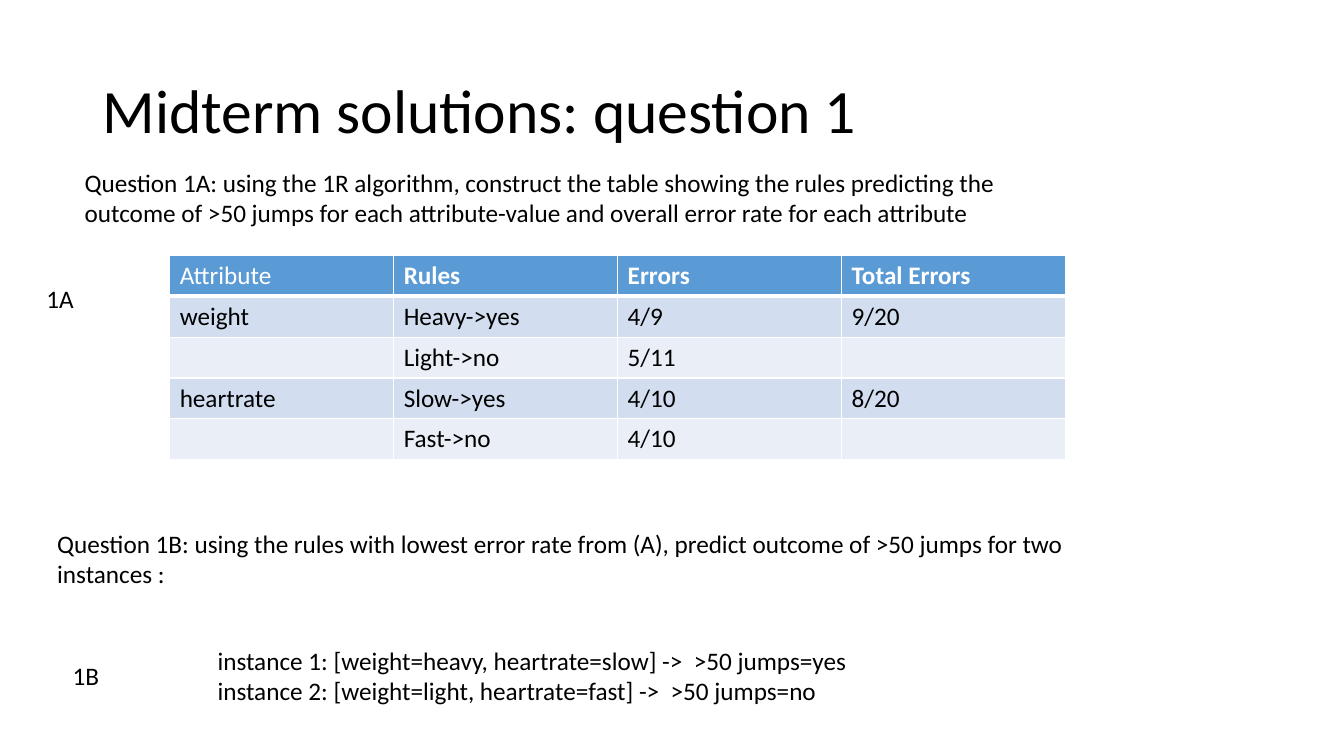
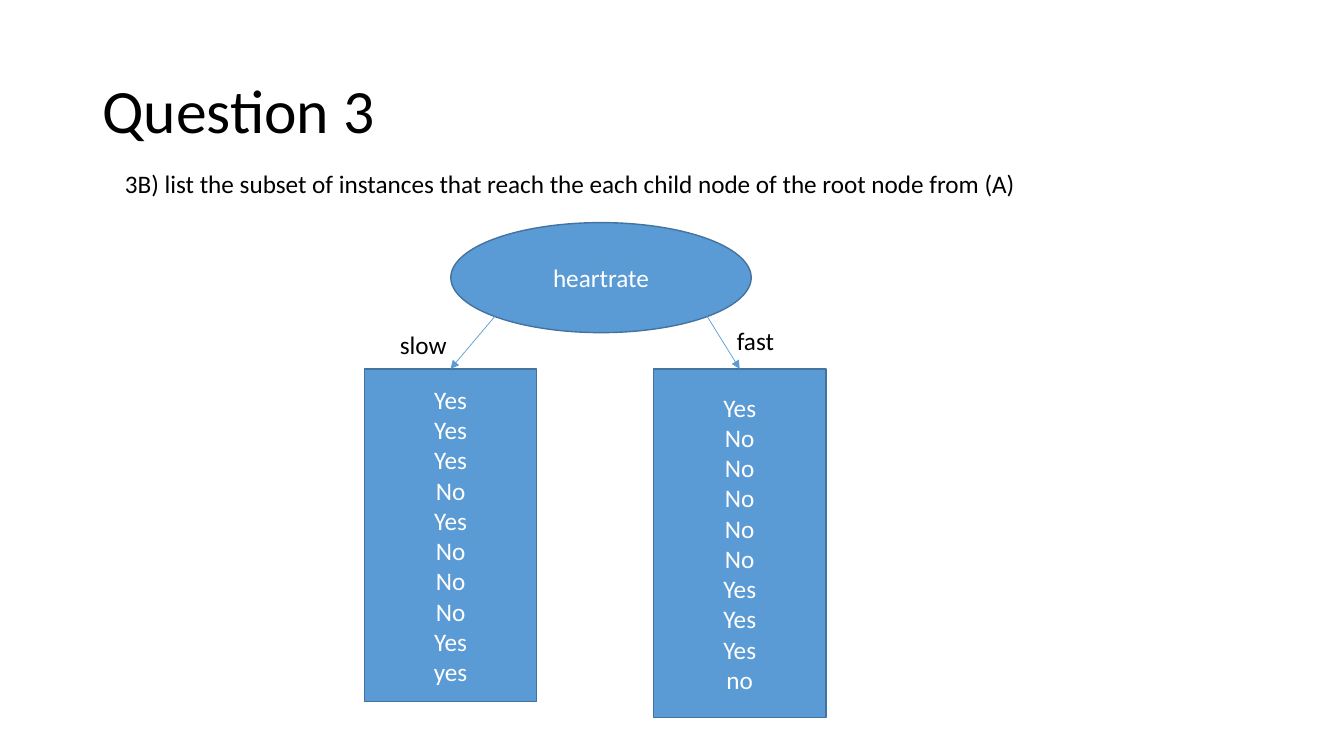
from dataclasses import dataclass
from math import sqrt

from lxml import etree
from pptx import Presentation
from pptx.dml.color import RGBColor
from pptx.enum import shapes, text
from pptx.oxml import ns
from pptx.util import Pt


@dataclass(frozen=True)
class Theme:
    font: str = "Calibri"
    head: int = 44
    body: int = 18
    ink: str = "000000"
    white: str = "FFFFFF"
    blue: str = "5B9BD5"
    edge: str = "43739E"
    bands: tuple = ("D2DEEF", "EAEFF7")


THEME = Theme()


def rgb(code):
    return RGBColor.from_string(code)


def write(frame, words, size=THEME.body, color=THEME.ink, bold=False,
          align=text.PP_ALIGN.LEFT, space=None):
    """Fill a text frame, one paragraph per line of words."""
    for i, line in enumerate(words.split("\n")):
        para = frame.add_paragraph() if i else frame.paragraphs[0]
        para.alignment = align
        para.line_spacing = space
        run = para.add_run()
        run.text = line
        font = run.font
        font.name, font.size, font.bold = THEME.font, Pt(size), bold
        font.color.rgb = rgb(color)


def border(cell, base):
    """Draw white cell borders; base is the width of the bottom one."""
    props = cell._tc.get_or_add_tcPr()
    for i, side in enumerate("LRTB"):
        width = base if side == "B" else 1
        line = etree.Element(ns.qn(f"a:ln{side}"), w=str(Pt(width)))
        fill = etree.SubElement(line, ns.qn("a:solidFill"))
        etree.SubElement(fill, ns.qn("a:srgbClr"), val=THEME.white)
        props.insert(i, line)


class Deck:
    def __init__(self):
        self.prs = Presentation()
        self.prs.slide_width, self.prs.slide_height = Pt(960), Pt(540)
        self.slide = None

    def page(self, title):
        self.slide = self.prs.slides.add_slide(self.prs.slide_layouts[5])
        box = self.slide.shapes.title
        box.left, box.top, box.width, box.height = map(Pt, (66, 28.8, 828, 104.4))
        frame = box.text_frame
        frame.auto_size = text.MSO_AUTO_SIZE.NONE
        frame.vertical_anchor = text.MSO_ANCHOR.MIDDLE
        write(frame, title, size=THEME.head, space=0.9)

    def note(self, words, x, y, w, h=29, wrap=True):
        box = self.slide.shapes.add_textbox(Pt(x), Pt(y), Pt(w), Pt(h))
        box.text_frame.word_wrap = wrap
        write(box.text_frame, words)

    def node(self, kind, words, x, y, w, h):
        box = self.slide.shapes.add_shape(kind, Pt(x), Pt(y), Pt(w), Pt(h))
        box.shadow.inherit = False
        box.fill.solid()
        box.fill.fore_color.rgb = rgb(THEME.blue)
        box.line.color.rgb = rgb(THEME.edge)
        box.line.width = Pt(1)
        box.text_frame.vertical_anchor = text.MSO_ANCHOR.MIDDLE
        write(box.text_frame, words, color=THEME.white,
              align=text.PP_ALIGN.CENTER)

    def arrow(self, x1, y1, x2, y2):
        link = self.slide.shapes.add_connector(
            shapes.MSO_CONNECTOR.STRAIGHT, Pt(x1), Pt(y1), Pt(x2), Pt(y2))
        link.line.color.rgb = rgb(THEME.blue)
        link.line.width = Pt(0.5)
        etree.SubElement(link.line._get_or_add_ln(), ns.qn("a:tailEnd"),
                         type="triangle")
        etree.SubElement(link._element.spPr, ns.qn("a:effectLst"))

    def table(self, rows, x, y, w, h):
        grid = self.slide.shapes.add_table(
            len(rows), len(rows[0]), Pt(x), Pt(y), Pt(w), Pt(h)).table
        for r, row in enumerate(rows):
            top = r == 0
            for c, words in enumerate(row):
                cell = grid.cell(r, c)
                cell.fill.solid()
                cell.fill.fore_color.rgb = rgb(
                    THEME.blue if top else THEME.bands[(r - 1) % 2])
                border(cell, base=3 if top else 1)
                if words:
                    write(cell.text_frame, words, bold=top and c > 0,
                          color=THEME.white if top else THEME.ink)


def rules(deck):
    deck.page("Midterm solutions: question 1")

    # Part A: rule table
    deck.table([
        ("Attribute", "Rules", "Errors", "Total Errors"),
        ("weight", "Heavy->yes", "4/9", "9/20"),
        ("", "Light->no", "5/11", ""),
        ("heartrate", "Slow->yes", "4/10", "8/20"),
        ("", "Fast->no", "4/10", ""),
    ], 121.2, 182.4, 640, 146)
    deck.note("1A", 26, 198.5, 34.5, wrap=False)
    deck.note("Question 1A: using the 1R algorithm, construct the table "
              "showing the rules predicting the outcome of >50 jumps for each "
              "attribute-value and overall error rate for each attribute",
              53.4, 116, 687.6, 51)

    # Part B: predictions
    deck.note("Question 1B: using the rules with lowest error rate from (A), "
              "predict outcome of >50 jumps for two instances :",
              33.8, 373.5, 743, 51)
    deck.note("1B", 44.8, 468, 34, wrap=False)
    deck.note("instance 1: [weight=heavy, heartrate=slow] ->  >50 jumps=yes\n"
              "instance 2: [weight=light, heartrate=fast] ->  >50 jumps=no",
              148.3, 457.2, 489, 51)


def tree(deck):
    deck.page("Question 3")
    deck.note("3B) list the subset of instances that reach the each child "
              "node of the root node from (A)", 82.1, 116.6, 786)

    # Root node
    x, y, w, h = 322, 159, 214.6, 78.6
    deck.node(shapes.MSO_SHAPE.OVAL, "heartrate", x, y, w, h)

    # Child nodes, each reached from a lower diagonal point of the root
    top = 263.5
    leaves = (
        (-1, 260.6, 122.5, 237.8, "Yes Yes Yes No Yes No No No Yes yes"),
        (1, 466.6, 123.5, 249.1, "Yes No No No No No Yes Yes Yes no"),
    )
    for side, left, wide, high, words in leaves:
        deck.node(shapes.MSO_SHAPE.RECTANGLE, words.replace(" ", "\n"),
                  left, top, wide, high)
        deck.arrow(x + w / 2 + side * w / sqrt(8), y + h / 2 + h / sqrt(8),
                   left + wide / 2, top)

    # Branch labels
    deck.note("slow", 278.5, 232, 48, wrap=False)
    deck.note("fast", 519.2, 229, 85.7)


def main():
    deck = Deck()
    rules(deck)
    tree(deck)
    deck.prs.save("out.pptx")


if __name__ == "__main__":
    main()
